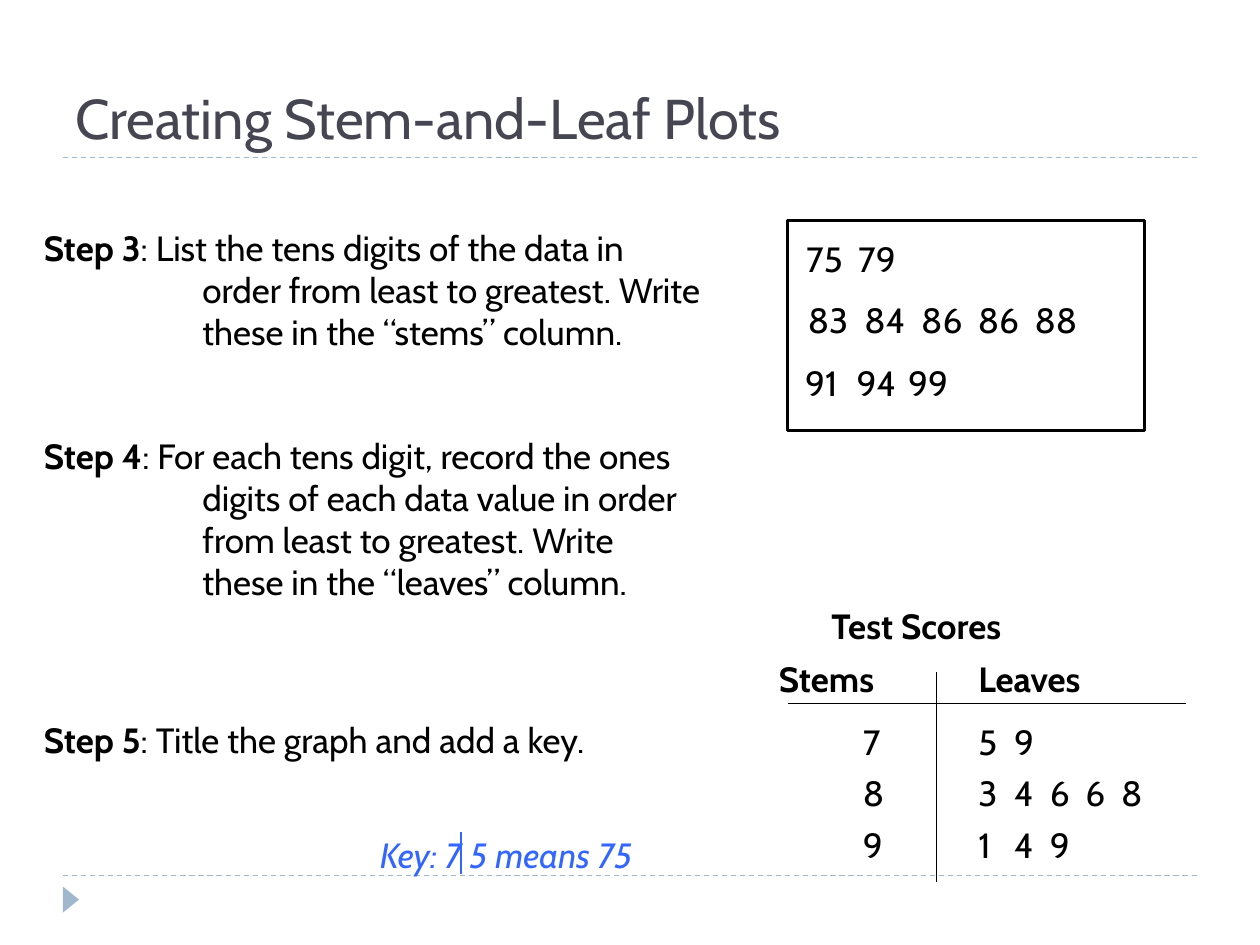
"""Build the slide on creating stem-and-leaf plots, on a grid of 120 by 90 cells."""
from dataclasses import dataclass

from lxml import etree
from pptx import Presentation
from pptx import util as u
from pptx.dml import color
from pptx.enum import dml, shapes, text
from pptx.oxml import ns

CELL = u.Inches(1 / 12)
FONT = "Cabin"
BLACK, BLUE, ACCENT, TITLE = "000000", "3366FF", "9FB8CD", "464653"
TEXT_ROWS = 5.16
STEP_INDENT = 15.1
LEAF_PITCH = 3.4


@dataclass
class Step:
    """A numbered instruction and its place on the grid."""
    name: str
    wording: str
    row: float
    columns: float


@dataclass
class Scores:
    """The scores of one stem, with their place in the frame and in the plot."""
    stem: int
    leaves: list[int]
    column: float
    row: float
    pitch: float
    plot_row: float


@dataclass
class Rule:
    """A straight line between two grid points."""
    start: tuple[float, float]
    end: tuple[float, float]
    colour: str = BLACK
    dashed: bool = False


STEPS = [
    Step("Step 3", "List the tens digits of the data in order from least to greatest. "
         "Write these in the “stems” column.", 21, 65.3),
    Step("Step 4", "For each tens digit, record the ones digits of each data value in order "
         "from least to greatest. Write these in the “leaves” column.", 40.8, 64),
    Step("Step 5", "Title the graph and add a key.", 67.8, 68),
]
SCORES = [
    Scores(7, [5, 9], 75.6, 22, 4.95, 68),
    Scores(8, [3, 4, 6, 6, 8], 75.75, 27.8, 5.4, 72.9),
    Scores(9, [1, 4, 9], 75.5, 33.8, 4.9, 77.8),
]
MARGIN_RULES = [Rule((6, row), (114, row), ACCENT, True) for row in (83.4, 15)]
PLOT_RULES = [
    Rule((75, 67), (113, 67)),
    Rule((89.2, 84), (89.2, 64)),
    Rule((43.9, 79.2), (43.9, 83.2), BLUE),
]


def cells(*counts: float) -> list[u.Emu]:
    """Turn counts of grid cells into lengths."""
    return [u.Emu(round(count * CELL)) for count in counts]


def paint(target, colour: str) -> None:
    """Give a fill, or the colour of a font or line, a hex colour."""
    if hasattr(target, "solid"):
        target.solid()
        target = target.fore_color
    else:
        target = target.color
    target.rgb = color.RGBColor.from_string(colour)


def write(para, wording: str, size: float = 20, colour: str = BLACK,
          bold: bool = False, italic: bool = False) -> None:
    """Add a formatted span to a paragraph."""
    span = para.add_run()
    span.text = wording
    span.font.name, span.font.size = FONT, u.Pt(size)
    span.font.bold, span.font.italic = bold, italic
    paint(span.font, colour)


def add_box(page, column: float, row: float, columns: float):
    """Add a wrapping text box and return its paragraph."""
    box = page.shapes.add_textbox(*cells(column, row, columns, TEXT_ROWS))
    box.text_frame.word_wrap = True
    return box.text_frame.paragraphs[0]


def add_values(page, column: float, row: float, columns: float,
               values: list[int], pitch: float) -> None:
    """Add a row of values set at equal tab stops."""
    para = add_box(page, column, row, columns)
    stops = etree.SubElement(para._p.get_or_add_pPr(), ns.qn("a:tabLst"))
    for index in range(1, len(values)):
        etree.SubElement(stops, ns.qn("a:tab"), pos=str(cells(index * pitch)[0]), algn="l")
    write(para, "\t".join(map(str, values)))


def add_step(page, step: Step) -> None:
    """Add an instruction with a hanging indent."""
    para = add_box(page, 3, step.row, step.columns)
    indent = cells(STEP_INDENT)[0]
    properties = para._p.get_or_add_pPr()
    properties.set("marL", str(indent))
    properties.set("indent", str(-indent))
    write(para, step.name, bold=True)
    write(para, f": {step.wording}")


def add_rule(page, rule: Rule) -> None:
    """Draw a thin line without a shadow."""
    line = page.shapes.add_connector(
        shapes.MSO_CONNECTOR.STRAIGHT, *cells(*rule.start, *rule.end))
    paint(line.line, rule.colour)
    line.line.width = u.Pt(0.75)
    if rule.dashed:
        line.line.dash_style = dml.MSO_LINE.DASH
    etree.SubElement(line._element.spPr, ns.qn("a:effectLst"))


def add_title(page, wording: str) -> None:
    """Place and format the title placeholder."""
    title = page.shapes.title
    title.left, title.top, title.width, title.height = cells(6, 3, 108, 12)
    title.text_frame.vertical_anchor = text.MSO_ANCHOR.BOTTOM
    para = title.text_frame.paragraphs[0]
    para.alignment = text.PP_ALIGN.LEFT
    write(para, wording, size=32, colour=TITLE)


def add_marker(page) -> None:
    """Draw the small triangle in the bottom corner."""
    marker = page.shapes.add_shape(
        shapes.MSO_SHAPE.ISOSCELES_TRIANGLE, *cells(5.5, 84.9, 2.5, 1.55))
    marker.rotation = 90
    marker.shadow.inherit = False
    paint(marker.fill, ACCENT)
    marker.line.fill.background()


def add_frame(page) -> None:
    """Draw the outline around the sorted scores."""
    frame = page.shapes.add_shape(shapes.MSO_SHAPE.RECTANGLE, *cells(75, 21, 34, 20))
    frame.shadow.inherit = False
    frame.fill.background()
    paint(frame.line, BLACK)
    frame.line.width = u.Pt(1.25)


def main() -> None:
    """Build and save the deck."""
    deck = Presentation()
    deck.slide_width, deck.slide_height = cells(120, 90)
    page = deck.slides.add_slide(deck.slide_layouts[5])
    add_title(page, "Creating Stem-and-Leaf Plots")
    for rule in MARGIN_RULES:
        add_rule(page, rule)
    add_marker(page)
    for step in STEPS:
        add_step(page, step)
    write(add_box(page, 78, 57, 30), "Test Scores", bold=True)
    write(add_box(page, 73, 62, 15), "Stems", bold=True)
    write(add_box(page, 92, 62, 18), "Leaves", bold=True)
    write(add_box(page, 35, 78.8, 37), "Key: 7 5 means 75", colour=BLUE, italic=True)
    add_frame(page)
    for scores in SCORES:
        values = [10 * scores.stem + leaf for leaf in scores.leaves]
        add_values(page, scores.column, scores.row, 33, values, scores.pitch)
        add_values(page, 81, scores.plot_row, 6, [scores.stem], LEAF_PITCH)
        add_values(page, 92, scores.plot_row, 27, scores.leaves, LEAF_PITCH)
    for rule in PLOT_RULES:
        add_rule(page, rule)
    deck.save("out.pptx")


if __name__ == "__main__":
    main()
